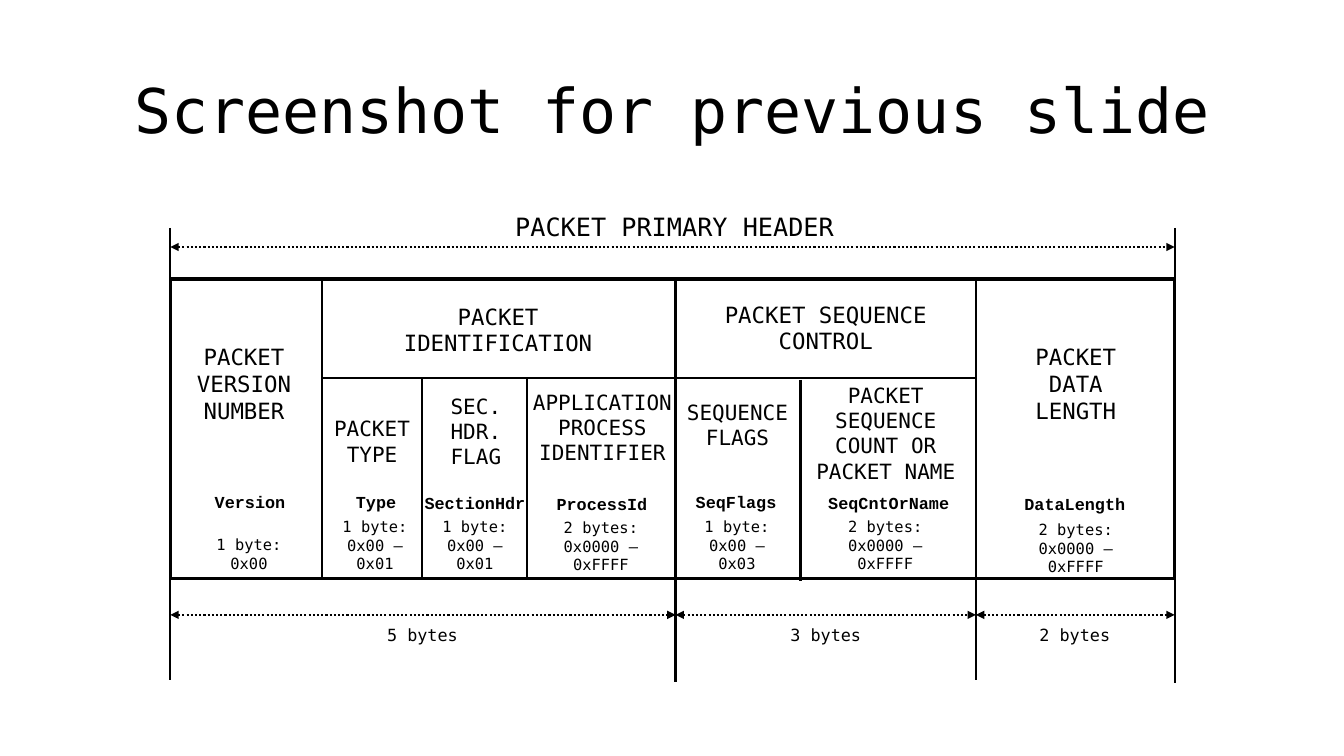
"""Build a slide that shows the fields of a packet primary header."""
from dataclasses import dataclass
from typing import NamedTuple

from lxml import etree
from pptx import Presentation
from pptx import util as u
from pptx.dml.color import RGBColor
from pptx.enum import dml, shapes, text
from pptx.oxml import ns
from pptx.slide import Slide


@dataclass(frozen=True)
class Theme:
    ink: RGBColor = RGBColor(0, 0, 0)
    paper: RGBColor = RGBColor(255, 255, 255)
    font: str = "DejaVu Sans Mono"
    code_font: str = "Courier New"
    title: int = 44
    heading: int = 18
    group: int = 16
    field: int = 15
    note: int = 12
    value: int = 11
    rule: float = 1.5
    frame: float = 2.5


class Caption(NamedTuple):
    words: str
    left: float
    top: float
    width: float
    height: float


class Rule(NamedTuple):
    x1: float
    y1: float
    x2: float
    y2: float


THEME = Theme()
LEFT, RIGHT, TOP, MIDDLE, BOTTOM = 1.69, 11.65, 2.77, 3.75, 5.74
VERSION_END, IDENTIFICATION_END, SEQUENCE_END = 3.19, 6.7, 9.68
SPAN_Y = 6.1
VALUE_SIZE = (1.12, 0.66)
NOTE_SIZE = (1.12, 0.3)

TITLE = Caption("Screenshot for previous slide", 0.92, 0.4, 11.5, 1.45)
HEADING = Caption("PACKET PRIMARY HEADER", 4.77, 2.05, 3.84, 0.4)

GROUPS = [
    Caption("PACKET VERSION NUMBER", 1.68, 3.35, 1.48, 0.91),
    Caption("PACKET IDENTIFICATION", 3.77, 2.95, 2.34, 0.64),
    Caption("PACKET SEQUENCE CONTROL", 7.02, 2.93, 2.34, 0.64),
    Caption("PACKET DATA LENGTH", 9.93, 3.35, 1.48, 0.91),
]
FIELDS = [
    Caption("PACKET TYPE", 3.13, 4.07, 1.12, 0.61),
    Caption("SEC. HDR. FLAG", 4.16, 3.85, 1.12, 0.86),
    Caption("APPLICATION PROCESS IDENTIFIER", 5.13, 3.81, 1.69, 0.86),
    Caption("SEQUENCE FLAGS", 6.65, 3.91, 1.33, 0.61),
    Caption("PACKET SEQUENCE COUNT OR PACKET NAME", 7.84, 3.74, 1.89, 1.11),
]
VALUES = [
    Caption("1 byte:\n0x00", 1.91, 5.26, 1.12, 0.47),
    Caption("1 byte:\n0x00 – 0x01", 3.16, 5.08, *VALUE_SIZE),
    Caption("1 byte: 0x00 – 0x01", 4.15, 5.08, *VALUE_SIZE),
    Caption("2 bytes:\n0x0000 – 0xFFFF", 5.4, 5.09, *VALUE_SIZE),
    Caption("1 byte: 0x00 – 0x03", 6.75, 5.08, *VALUE_SIZE),
    Caption("2 bytes: 0x0000 – 0xFFFF", 8.22, 5.08, *VALUE_SIZE),
    Caption("2 bytes: 0x0000 – 0xFFFF", 10.11, 5.11, *VALUE_SIZE),
]
TOTALS = [
    Caption("5 bytes", 3.63, 6.15, *NOTE_SIZE),
    Caption("3 bytes", 7.63, 6.15, *NOTE_SIZE),
    Caption("2 bytes", 10.1, 6.15, *NOTE_SIZE),
]
NAMES = [
    Caption("Version", 1.93, 4.83, 1.1, 0.3),
    Caption("Type", 3.18, 4.83, 1.1, 0.3),
    Caption("SectionHdr", 4.1, 4.84, 1.22, 0.3),
    Caption("ProcessId", 5.36, 4.85, 1.22, 0.3),
    Caption("SeqFlags", 6.69, 4.83, 1.22, 0.3),
    Caption("SeqCntOrName", 8.1, 4.84, 1.43, 0.3),
    Caption("DataLength", 10.05, 4.85, 1.22, 0.3),
]
BORDERS = [
    Rule(LEFT, 2.26, LEFT, 6.75),
    Rule(RIGHT, 2.26, RIGHT, 6.78),
    Rule(VERSION_END, TOP, VERSION_END, BOTTOM),
    Rule(IDENTIFICATION_END, TOP, IDENTIFICATION_END, 6.77),
    Rule(SEQUENCE_END, TOP, SEQUENCE_END, 6.75),
    Rule(VERSION_END, MIDDLE, SEQUENCE_END, MIDDLE),
    *(Rule(x, MIDDLE, x, BOTTOM) for x in (4.19, 5.23)),
    Rule(7.94, 3.77, 7.94, 5.76),
]
SPAN_EDGES = (LEFT, IDENTIFICATION_END, SEQUENCE_END, RIGHT)
SPANS = [
    Rule(LEFT, 2.45, RIGHT, 2.45),
    *(Rule(start, SPAN_Y, end, SPAN_Y) for start, end in zip(SPAN_EDGES, SPAN_EDGES[1:])),
]


def add_text(slide: Slide, caption: Caption, *, size: int, font: str = THEME.font,
             bold: bool = False, spacing: float = 1.0, grow: bool = True,
             anchor: text.MSO_ANCHOR = text.MSO_ANCHOR.MIDDLE) -> None:
    """Add a centred, wrapping text box."""
    words, *box = caption
    frame = slide.shapes.add_textbox(*map(u.Inches, box)).text_frame
    frame.text = words
    frame.word_wrap = True
    frame.vertical_anchor = anchor
    frame.auto_size = text.MSO_AUTO_SIZE.SHAPE_TO_FIT_TEXT if grow else text.MSO_AUTO_SIZE.NONE
    for paragraph in frame.paragraphs:
        paragraph.alignment = text.PP_ALIGN.CENTER
        paragraph.line_spacing = spacing
        for run in paragraph.runs:
            run.font.name = font
            run.font.size = u.Pt(size)
            run.font.bold = bold
            run.font.color.rgb = THEME.ink


def add_rule(slide: Slide, rule: Rule, *, span: bool = False) -> None:
    """Add a plain border, or a dotted span with an arrowhead at each end."""
    connector = slide.shapes.add_connector(
        shapes.MSO_CONNECTOR.STRAIGHT, *map(u.Inches, rule))
    connector.line.color.rgb = THEME.ink
    connector.line.width = u.Pt(THEME.rule)
    if span:
        connector.line.dash_style = dml.MSO_LINE.ROUND_DOT
        line = connector.line._get_or_add_ln()
        for end in ("a:headEnd", "a:tailEnd"):
            etree.SubElement(line, ns.qn(end), type="triangle")
    etree.SubElement(connector._element.spPr, ns.qn("a:effectLst"))


def add_frame(slide: Slide) -> None:
    """Add the heavy outline of the header."""
    box = (LEFT, TOP, RIGHT - LEFT, BOTTOM - TOP)
    shape = slide.shapes.add_shape(shapes.MSO_SHAPE.RECTANGLE, *map(u.Inches, box))
    shape.shadow.inherit = False
    shape.fill.solid()
    shape.fill.fore_color.rgb = THEME.paper
    shape.line.color.rgb = THEME.ink
    shape.line.width = u.Pt(THEME.frame)


def main() -> None:
    """Draw the slide and save it."""
    presentation = Presentation()
    presentation.slide_width = u.Inches(13.33)
    presentation.slide_height = u.Inches(7.5)
    slide = presentation.slides.add_slide(presentation.slide_layouts[6])

    add_text(slide, TITLE, size=THEME.title, spacing=0.9, grow=False)
    add_frame(slide)
    for border in BORDERS:
        add_rule(slide, border)
    for span in SPANS:
        add_rule(slide, span, span=True)

    add_text(slide, HEADING, size=THEME.heading, anchor=text.MSO_ANCHOR.TOP)
    for captions, size in ((GROUPS, THEME.group), (FIELDS, THEME.field),
                           (VALUES, THEME.value), (TOTALS, THEME.note)):
        for caption in captions:
            add_text(slide, caption, size=size)
    for name in NAMES:
        add_text(slide, name, size=THEME.note, font=THEME.code_font, bold=True,
                 anchor=text.MSO_ANCHOR.TOP)

    presentation.save("out.pptx")


if __name__ == "__main__":
    main()
